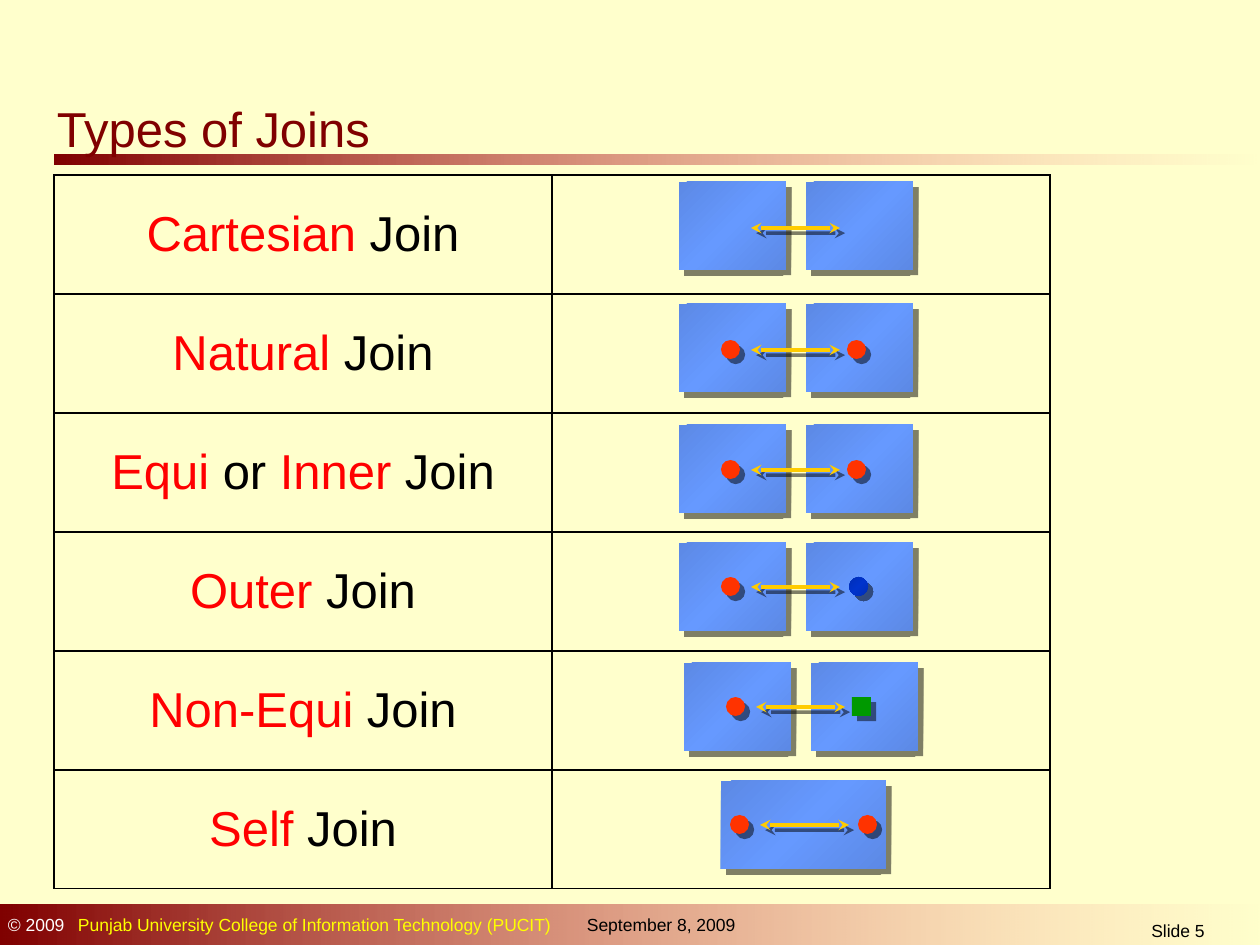
from dataclasses import dataclass
from typing import Any

from lxml.etree import SubElement
from pptx import Presentation
from pptx.dml.color import RGBColor
from pptx.enum.shapes import MSO_CONNECTOR, MSO_SHAPE
from pptx.enum.text import MSO_ANCHOR, PP_ALIGN
from pptx.oxml.ns import qn
from pptx.util import Pt

SCALE = 914400 / 126
RED, BLACK, MAROON, ORANGE = "FF0000", "000000", "800000", "FF3300"
FADE = [(0, MAROON, 100), (100, "FF8585", 0)]
SHEEN = [(0, "5C89E5", 100), (50, "6699FF", 100), (100, "5C89E5", 100)]
NAVY = [(0, "002EB7", 100), (50, "0033CC", 100), (100, "002EB7", 100)]
DISC, SQUARE = MSO_SHAPE.OVAL, MSO_SHAPE.RECTANGLE


@dataclass
class Mark:
    dx: int
    fill: Any = ORANGE
    form: Any = DISC


@dataclass
class Join:
    words: str  # red and black parts take turns
    x: int
    y: int
    mid: int  # arrow depth below the box top
    marks: tuple[Mark, ...] = ()
    single: bool = False


PAIR = (Mark(42), Mark(168))
JOINS = [
    Join("Cartesian| Join", 679, 182, 46),
    Join("Natural| Join", 679, 304, 46, PAIR),
    Join("Equi| or |Inner| Join", 679, 425, 45, PAIR),
    Join("Outer| Join", 679, 543, 44, (Mark(42), Mark(170, NAVY))),
    Join("Non-Equi| Join", 684, 663, 44,
         (Mark(42), Mark(168, "009900", SQUARE))),
    Join("Self| Join", 688, 781, 44, (Mark(42), Mark(170)), True),
]


def px(*nums: int) -> list[int]:
    return [round(n * SCALE) for n in nums]


def color(code: str) -> RGBColor:
    return RGBColor.from_string(code)


def node(base: Any, tag: str, **attrs: Any) -> Any:
    return SubElement(base, qn(f"a:{tag}"), {k: str(v) for k, v in attrs.items()})


def blend(shape: Any, stops: list, angle: int) -> None:
    grad = node(shape._element.spPr, "gradFill", rotWithShape=1)
    row = node(grad, "gsLst")
    for place, code, alpha in stops:
        tint = node(node(row, "gs", pos=place * 1000), "srgbClr", val=code)
        if alpha < 100:
            node(tint, "alpha", val=alpha * 1000)
    node(grad, "lin", ang=angle * 60000, scaled=0)


def shade(shape: Any, drop: bool = True) -> None:
    effect = node(shape._element.spPr, "effectLst")
    if drop:
        cast = node(effect, "outerShdw", dist=Pt(4.2), dir=45 * 60000,
                    algn="ctr", rotWithShape=0)
        node(node(cast, "srgbClr", val=BLACK), "alpha", val=50000)


def block(shapes: Any, form: Any, place: tuple, fill: Any,
          angle: int = 45, drop: bool = True) -> None:
    shape = shapes.add_shape(form, *px(*place))
    if isinstance(fill, str):
        shape.fill.solid()
        shape.fill.fore_color.rgb = color(fill)
    else:
        blend(shape, fill, angle)
    shape.line.fill.background()
    shade(shape, drop)


def arrow(shapes: Any, x: int, y: int, width: int) -> None:
    line = shapes.add_connector(MSO_CONNECTOR.STRAIGHT, *px(x, y, x + width, y))
    line.line.width = Pt(2)
    line.line.color.rgb = color("FFCC00")
    for end in ("headEnd", "tailEnd"):
        node(line.line._ln, end, type="stealth")
    shade(line)


def write(para: Any, runs: list[tuple[str, str]], size: int, align: Any) -> None:
    para.alignment = align
    for text, code in runs:
        run = para.add_run()
        run.text = text
        for key, val in {"name": "Arial", "size": Pt(size)}.items():
            setattr(run.font, key, val)
        run.font.color.rgb = color(code)


def frame(box: Any, **more: Any) -> Any:
    look = {"word_wrap": True, "vertical_anchor": MSO_ANCHOR.MIDDLE,
            "margin_left": px(13)[0], "margin_right": px(13)[0],
            "margin_top": px(6)[0], "margin_bottom": px(6)[0]} | more
    for key, val in look.items():
        setattr(box.text_frame, key, val)
    return box.text_frame.paragraphs[0]


def label(shapes: Any, place: tuple, runs: list, align: Any = PP_ALIGN.LEFT,
          inset: int = 13, tab: int = 0) -> None:
    para = frame(shapes.add_textbox(*px(*place)), margin_left=px(inset)[0])
    if tab:
        stops = node(para._p.get_or_add_pPr(), "tabLst")
        node(stops, "tab", pos=px(tab)[0], algn="l")
    write(para, runs, 10, align)


def border(cell: Any) -> None:
    props = cell._tc.get_or_add_tcPr()
    for side in ("lnL", "lnR", "lnT", "lnB"):
        line = node(props, side, w=Pt(1))
        node(node(line, "solidFill"), "srgbClr", val=BLACK)
    cell.fill.background()


def grid(shapes: Any) -> None:
    table = shapes.add_table(len(JOINS), 2, *px(54, 175, 996, 714)).table
    for flag in ("first_row", "horz_banding"):
        setattr(table, flag, False)
    for row, join in zip(table.rows, JOINS):
        row.height = px(119)[0]
        for cell in row.cells:
            border(cell)
        first = row.cells[0]
        first.vertical_anchor = MSO_ANCHOR.MIDDLE
        runs = [(part, BLACK if i % 2 else RED)
                for i, part in enumerate(join.words.split("|"))]
        write(first.text_frame.paragraphs[0], runs, 28, PP_ALIGN.CENTER)


def draw(shapes: Any, join: Join) -> None:
    group = shapes.add_group_shape().shapes
    boxes = [(33, 165)] if join.single else [(0, 107), (127, 107)]
    for dx, width in boxes:
        block(group, SQUARE, (join.x + dx, join.y, width, 88), SHEEN)
    level = join.y + join.mid
    for mark in join.marks:
        place = (join.x + mark.dx, level - 10, 19, 19)
        block(group, mark.form, place, mark.fill)
    arrow(group, join.x + 72, level, 89)


def main() -> None:
    deck = Presentation()
    deck.slide_width, deck.slide_height = px(1260, 945)
    slide = deck.slides.add_slide(deck.slide_layouts[5])
    slide.background.fill.solid()
    slide.background.fill.fore_color.rgb = color("FFFFCC")
    shapes = slide.shapes

    # Bars and footer
    for place in ((54, 155, 1206, 10), (0, 905, 1264, 44)):
        block(shapes, SQUARE, place, FADE, 0, False)
    label(shapes, (-5, 907, 814, 34), [
        ("© 2009", "FFFFFF"),
        ("\tPunjab University College of Information Technology (PUCIT)", "FFFF00"),
    ], tab=70)
    label(shapes, (540, 907, 228, 34), [("September 8, 2009", BLACK)], inset=47)
    label(shapes, (1047, 915, 262, 30), [("Slide 5", BLACK)], PP_ALIGN.CENTER)

    # Title, in front of the bar
    title = shapes.title
    title.left, title.top, title.width, title.height = px(44, 91, 362, 74)
    write(frame(title, word_wrap=False), [("Types of Joins", MAROON)], 28,
          PP_ALIGN.LEFT)
    shapes._spTree.append(title._element)

    # Table with one diagram per row
    grid(shapes)
    for join in JOINS:
        draw(shapes, join)
    deck.save("out.pptx")


if __name__ == "__main__":
    main()
